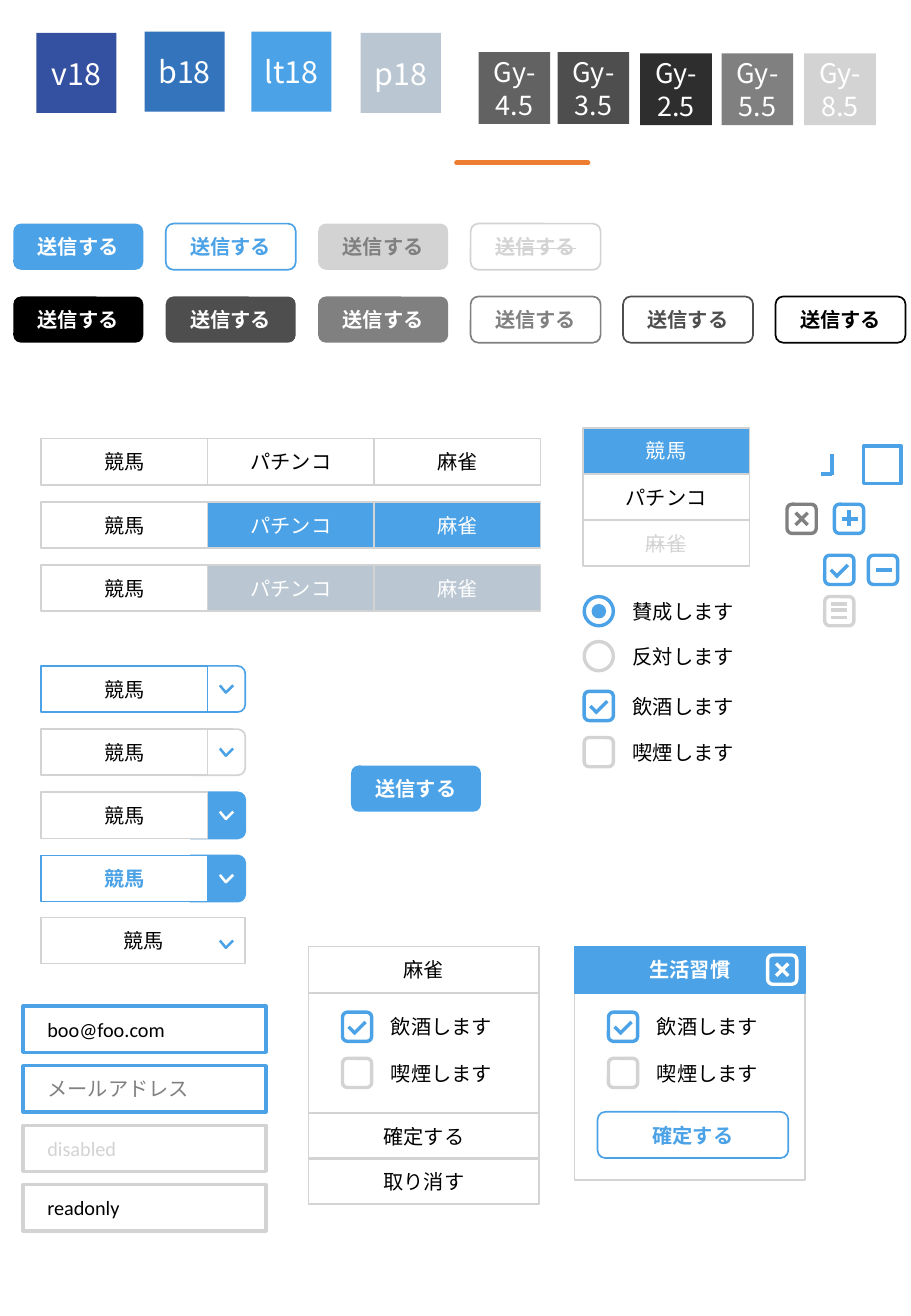
from lxml.etree import SubElement
from pptx import Presentation
from pptx.dml.color import RGBColor
from pptx.enum.shapes import MSO_CONNECTOR, MSO_SHAPE
from pptx.enum.text import MSO_ANCHOR, PP_ALIGN
from pptx.oxml.ns import qn
from pptx.util import Inches, Pt

HEX = {
    "vivid": "3450A0", "bright": "3374BC", "light": "4BA2E6", "pale": "BAC7D2",
    "black": "000000", "gray25": "2E2E2E", "gray35": "4E4E4E", "gray45": "626262",
    "gray55": "808080", "gray85": "D3D3D3", "white": "FFFFFF", "orange": "ED7D31",
}
RECT, ROUND, OVAL = MSO_SHAPE.RECTANGLE, MSO_SHAPE.ROUNDED_RECTANGLE, MSO_SHAPE.OVAL
ROW = 0.38   # height of every control
CELL = 1.37  # width of a menu cell
ICON = 0.24
MARKS = {
    "none": [],
    "tick": [(0.19, 0.08, 0.09, 0.18), (0.1, 0.17, 0.05, 0.12)],
    "minus": [(0.19, 0.12, 0.06, 0.12)],
    "plus": [(0.19, 0.12, 0.06, 0.12), (0.12, 0.18, 0.12, 0.05)],
    "cross": [(0.17, 0.17, 0.07, 0.07), (0.07, 0.17, 0.17, 0.07)],
    "menu": [(0.18, y, 0.05, y) for y in (0.06, 0.11, 0.17)],
}

deck = Presentation()
deck.slide_width, deck.slide_height = Inches(7.5), Inches(10.83)
shapes = deck.slides.add_slide(deck.slide_layouts[6]).shapes


def color(name):
    return RGBColor.from_string(HEX[name])


def paint(shape, fill, line, weight):
    shape.shadow.inherit = False
    if fill:
        shape.fill.solid()
        shape.fill.fore_color.rgb = color(fill)
    else:
        shape.fill.background()
    if line:
        shape.line.color.rgb = color(line)
        shape.line.width = Pt(weight)
    else:
        shape.line.fill.background()


def write(shape, text, ink, size=12, bold=False, strike=False,
          face="Calibri", align=PP_ALIGN.CENTER):
    frame = shape.text_frame
    frame.word_wrap = True
    frame.vertical_anchor = MSO_ANCHOR.MIDDLE
    para = frame.paragraphs[0]
    para.text = text
    para.alignment = align
    font = para.font
    font.name, font.size, font.bold = face, Pt(size), bold
    font.color.rgb = color(ink)
    if strike:
        para.runs[0]._r.get_or_add_rPr().set("strike", "sngStrike")


def block(kind, x, y, w, h, fill=None, line=None, weight=1):
    shape = shapes.add_shape(kind, Inches(x), Inches(y), Inches(w), Inches(h))
    paint(shape, fill, line, weight)
    return shape


def stroke(x1, y1, x2, y2, ink, weight=2):
    line = shapes.add_connector(MSO_CONNECTOR.STRAIGHT, Inches(x1), Inches(y1),
                                Inches(x2), Inches(y2))
    line.line.color.rgb = color(ink)
    line.line.width = Pt(weight)
    SubElement(line._element.spPr, qn("a:effectLst"))
    return line


def swatch(x, y, side, text, fill, size):
    write(block(RECT, x, y, side, side, fill), text, "white", size,
          face="Noto Sans CJK JP")


def button(x, y, fill, line, ink, text="送信する", w=1.07, strike=False):
    write(block(ROUND, x, y, w, ROW, fill, line), text, ink, bold=True, strike=strike)


def cell(x, y, text, fill=None, ink="black", line="gray85", w=CELL, **style):
    write(block(RECT, x, y, w, ROW, fill, line), text, ink, **style)


def tabs(x, y, fill, ink):
    """Three cells side by side; the last two share a state."""
    cell(x, y, "競馬")
    for i, text in enumerate(("パチンコ", "麻雀"), 1):
        cell(x + i * CELL, y, text, fill, ink)


def menu(x, y):
    cell(x, y, "競馬", "light", "white")
    cell(x, y + ROW, "パチンコ")
    cell(x, y + 2 * ROW, "麻雀", ink="gray85", strike=True)


def icon(x, y, mark, ink):
    block(ROUND, x, y, ICON, ICON, line=ink, weight=2)
    for x1, y1, x2, y2 in MARKS[mark]:
        stroke(x + x1, y + y1, x + x2, y + y2, ink)


def label(x, y, text):
    """Caption to the right of an icon placed at x, y."""
    box = shapes.add_textbox(Inches(x + 0.3), Inches(y - 0.07), Inches(CELL), Inches(ROW))
    write(box, text, "black", align=PP_ALIGN.LEFT)


def radio(x, y, text, chosen):
    block(OVAL, x, y, ICON, ICON, line="light" if chosen else "gray85", weight=2)
    if chosen:
        block(OVAL, x + 0.06, y + 0.06, ICON / 2, ICON / 2, "light")
    label(x, y, text)


def checks(x, y):
    """Two check boxes, the first one ticked."""
    icon(x, y, "tick", "light")
    label(x, y, "飲酒します")
    icon(x, y + ROW, "none", "gray85")
    label(x, y + ROW, "喫煙します")


def arrow(x, y, ink):
    """Small open arrow pointing down."""
    path = shapes.build_freeform(Inches(x), Inches(y))
    path.add_line_segments([(Inches(x + 0.05), Inches(y + 0.06)),
                            (Inches(x + 0.11), Inches(y))], close=False)
    paint(path.convert_to_shape(), None, ink, 1.5)


def picker(x, y, fill, edge, line, mark, ink="black", bold=False):
    """Choice field with an arrow button at its right end."""
    block(ROUND, x + 1.17, y, 0.51, ROW, fill, edge)
    cell(x, y, "競馬", "white", ink, line, bold=bold)
    arrow(x + 1.47, y + 0.16, mark)


def field(x, y, text, line, ink):
    box = block(RECT, x, y, 2, ROW, "white", line, 2)
    write(box, text, ink, align=PP_ALIGN.LEFT)
    box.text_frame.word_wrap = False
    box.text_frame.margin_left = box.text_frame.margin_right = Inches(0.2)


def panel(x, y, h):
    checks(x + 0.28, y + 0.54)
    block(RECT, x, y, 1.9, h, line="gray85")


def sheet(x, y):
    panel(x, y, 2.12)
    for dy, text in ((0, "麻雀"), (1.37, "確定する"), (1.74, "取り消す")):
        cell(x, y + dy, text, w=1.9)


def dialog(x, y):
    panel(x, y, 1.92)
    cell(x, y, "生活習慣", "light", "white", "light", 1.9, bold=True)
    icon(x + 1.59, y + 0.07, "cross", "white")
    button(x + 0.19, y + 1.36, None, "light", "light", "確定する", 1.57)


def palette():
    for x, y, text, fill in ((0.3, 0.27, "v18", "vivid"), (1.19, 0.26, "b18", "bright"),
                             (2.07, 0.26, "lt18", "light"), (2.97, 0.27, "p18", "pale")):
        swatch(x, y, 0.66, text, fill, 18)
    for x, y, text, fill in ((3.94, 0.43, "Gy-4.5", "gray45"), (4.59, 0.43, "Gy-3.5", "gray35"),
                             (5.27, 0.44, "Gy-2.5", "gray25"), (5.94, 0.44, "Gy-5.5", "gray55"),
                             (6.62, 0.44, "Gy-8.5", "gray85")):
        swatch(x, y, 0.59, text, fill, 16)
    rule = stroke(3.76, 1.34, 4.84, 1.34, "orange", 3)
    rule.line._get_or_add_ln().set("cap", "rnd")


def buttons(x, y):
    step = 1.255
    looks = (
        (("light", None, "white"), (None, "light", "light"),
         ("gray85", None, "gray55"), (None, "gray85", "gray85")),
        (("black", None, "white"), ("gray35", None, "white"), ("gray55", None, "white"),
         (None, "gray55", "gray55"), (None, "gray35", "gray35"), (None, "black", "black")),
    )
    for row, line in enumerate(looks):
        for col, look in enumerate(line):
            button(x + col * step, y + row * 0.6, *look, strike=look[1] == "gray85")


def pickers(x, y):
    looks = ((None, "light", "light", "light"), (None, "gray85", "gray85", "light"),
             ("light", "light", "gray85", "white"),
             ("light", "light", "light", "white", "light", True))
    for i, look in enumerate(looks):
        picker(x, y + i * 0.52, *look)
    cell(x, y + 2.07, "競馬", "white", w=1.68)
    arrow(x + 1.47, y + 2.26, "light")


def icons():
    stroke(6.85, 3.74, 6.85, 3.91, "light")
    stroke(6.85, 3.9, 6.76, 3.9, "light")
    block(RECT, 7.11, 3.67, 0.31, 0.31, line="light", weight=2)
    for x, y, mark, ink in ((6.48, 4.15, "cross", "gray55"), (6.87, 4.15, "plus", "light"),
                            (6.79, 4.57, "tick", "light"), (7.15, 4.57, "minus", "light"),
                            (6.79, 4.91, "menu", "gray85")):
        icon(x, y, mark, ink)


def main():
    palette()
    buttons(0.11, 1.84)
    button(2.89, 6.3, "light", None, "white")
    for i, look in enumerate(((None, "black"), ("light", "white"), ("pale", "white"))):
        tabs(0.34, 3.61 + i * 0.52, *look)
    menu(4.8, 3.52)
    icons()
    radio(4.81, 4.91, "賛成します", True)
    radio(4.81, 5.28, "反対します", False)
    checks(4.81, 5.69)
    pickers(0.34, 5.48)
    sheet(2.54, 7.79)
    dialog(4.73, 7.79)
    for i, look in enumerate((("boo@foo.com", "light", "black"),
                              ("メールアドレス", "light", "gray55"),
                              ("disabled", "gray85", "gray85"),
                              ("readonly", "gray85", "black"))):
        field(0.19, 8.28 + i * 0.49, *look)
    deck.save("out.pptx")


if __name__ == "__main__":
    main()
